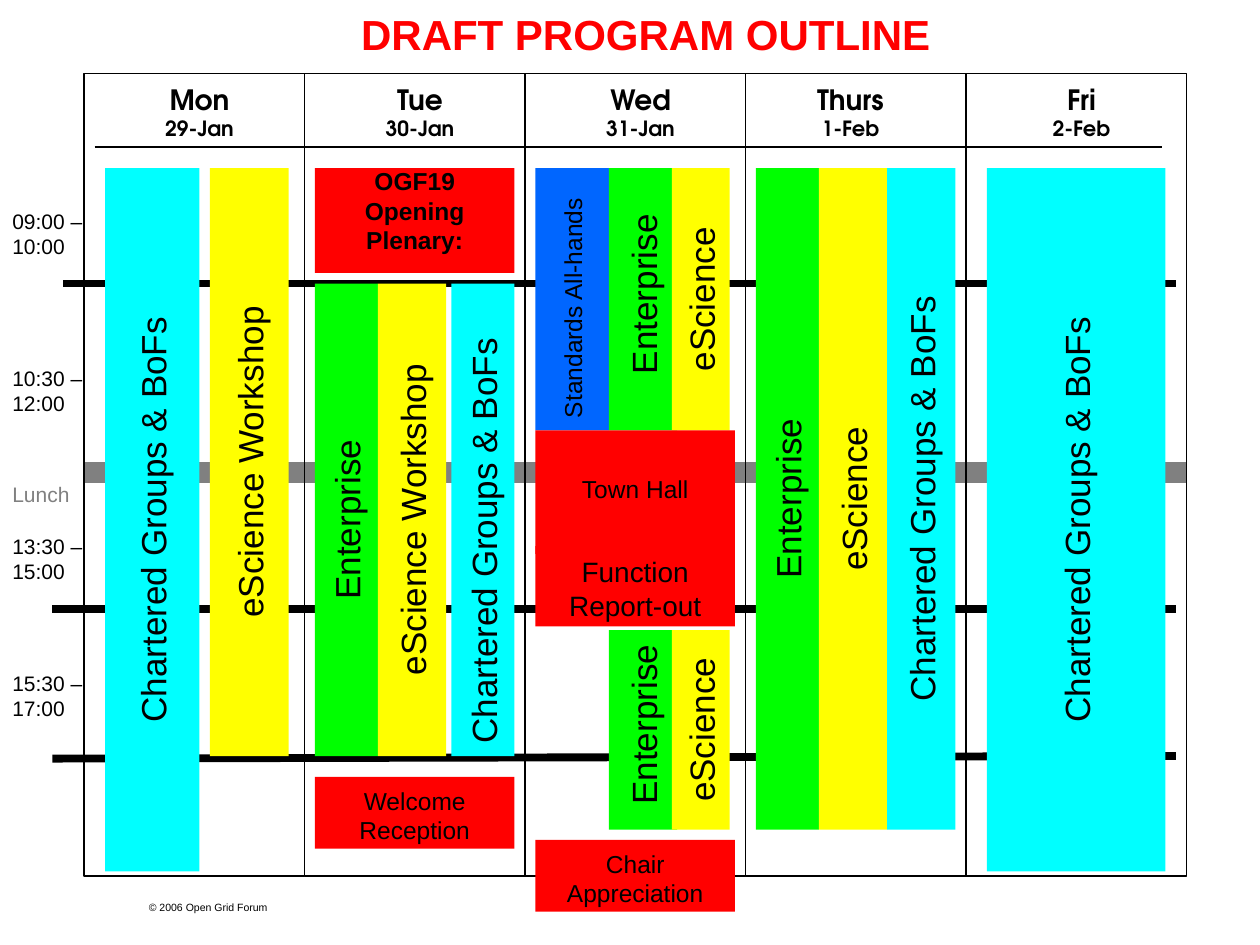
from lxml import etree
from pptx import Presentation
from pptx.dml.color import RGBColor
from pptx.enum import shapes, text as t
from pptx.oxml import ns
from pptx.util import Pt

BLACK = RGBColor(0x00, 0x00, 0x00)
GRAY = RGBColor(0x80, 0x80, 0x80)
RED = RGBColor(0xFF, 0x00, 0x00)
GREEN = RGBColor(0x00, 0xFF, 0x00)
YELLOW = RGBColor(0xFF, 0xFF, 0x00)
CYAN = RGBColor(0x00, 0xFF, 0xFF)
BLUE = RGBColor(0x00, 0x66, 0xFF)
CENTER, LEFT = t.PP_ALIGN.CENTER, t.PP_ALIGN.LEFT

deck = Presentation()
deck.slide_width, deck.slide_height = Pt(720), Pt(540)
slide = deck.slides.add_slide(deck.slide_layouts[6])


def write(box, *lines, sizes=(14,), font="Arial", color=BLACK, bold=False,
          align=CENTER, inset_top=5, inset_left=7.2, wrap=True,
          anchor=t.MSO_ANCHOR.TOP):
    """Fill a shape with one paragraph; lines are parted by line breaks."""
    frame = box.text_frame
    frame.word_wrap = wrap
    frame.vertical_anchor = anchor
    frame.margin_top, frame.margin_left = Pt(inset_top), Pt(inset_left)
    para = frame.paragraphs[0]
    para.alignment = align
    for number, (line, size) in enumerate(zip(lines, sizes)):
        if number:
            para.add_line_break()
        span = para.add_run()
        span.text = line
        span.font.name, span.font.size = font, Pt(size)
        span.font.bold, span.font.color.rgb = bold, color


def rule(x1, y1, x2, y2, width, color=BLACK):
    line = slide.shapes.add_connector(
        shapes.MSO_CONNECTOR.STRAIGHT, Pt(x1), Pt(y1), Pt(x2), Pt(y2))
    line.line.color.rgb, line.line.width = color, Pt(width)
    etree.SubElement(line._element.spPr, ns.qn("a:effectLst"))


# Break, lunch and closing lines
rule(36, 162, 672, 162, 4.5)
rule(30, 348, 672, 348, 4.5)
rule(30, 433.5, 672, 432, 4.5)
rule(48, 270, 678, 270, 12, GRAY)

# Day columns with their headings
days = [("Mon", "29-Jan", 60), ("Tue", "30-Jan", 186), ("Wed", "31-Jan", 312),
        ("Thurs", "1-Feb", 432), ("Fri", "2-Feb", 564)]
for index, (day, date, left) in enumerate(days):
    column = slide.shapes.add_shape(
        shapes.MSO_SHAPE.RECTANGLE, Pt(48 + 126 * index), Pt(42), Pt(126), Pt(458.6))
    column.shadow.inherit = False
    column.fill.background()
    column.line.color.rgb, column.line.width = BLACK, Pt(0.75)
    heading = slide.shapes.add_textbox(Pt(left), Pt(42), Pt(108), Pt(41))
    write(heading, day, date, sizes=(16, 12), font="TeX Gyre Adventor", bold=True)
rule(54, 84, 664, 84, 0.75)

# Time slots
slots = [("09:00 – 10:00", 114, BLACK), ("10:30 – 12:00", 204, BLACK),
         ("Lunch", 270, GRAY), ("13:30 – 15:00", 300, BLACK),
         ("15:30 – 17:00", 378, BLACK)]
for label, top, color in slots:
    slot = slide.shapes.add_textbox(Pt(0), Pt(top), Pt(66), Pt(36))
    write(slot, label, sizes=(12,), color=color, align=LEFT)

# Tracks: vertical bars, given by the area they cover after turning
GROUPS, WORKSHOP = "Chartered Groups & BoFs", "eScience Workshop"
tracks = [
    (GROUPS, CYAN, 60, 96, 54, 402, {}),
    (WORKSHOP, YELLOW, 120, 96, 45, 336, {}),
    ("Enterprise", GREEN, 180, 162, 36, 270, {}),
    (WORKSHOP, YELLOW, 216, 162, 39, 270, {}),
    (GROUPS, CYAN, 258, 162, 36, 270, {"align": LEFT}),
    ("Standards All-hands", BLUE, 306, 96, 42, 150, {"align": LEFT, "sizes": (14,)}),
    ("Enterprise", GREEN, 348, 96, 39, 150, {"inset_left": 12.8}),
    ("eScience", YELLOW, 384, 96, 33, 150, {}),
    ("Enterprise", GREEN, 348, 360, 39, 114, {"inset_left": 12.8}),
    ("eScience", YELLOW, 384, 360, 33, 114, {}),
    ("Enterprise", GREEN, 432, 96, 36, 378, {}),
    ("eScience", YELLOW, 468, 96, 39, 378, {}),
    (GROUPS, CYAN, 507, 96, 39, 378, {}),
    (GROUPS, CYAN, 564, 96, 102, 402, {}),
]
for label, color, left, top, width, height, style in tracks:
    shift = (height - width) / 2
    bar = slide.shapes.add_shape(
        shapes.MSO_SHAPE.RECTANGLE, Pt(left - shift), Pt(top + shift), Pt(height), Pt(width))
    bar.rotation = 270
    bar.shadow.inherit = False
    bar.fill.solid()
    bar.fill.fore_color.rgb = color
    bar.line.fill.background()
    write(bar, label, **{"sizes": (20,), "inset_top": 3.6, "wrap": False,
                         "anchor": t.MSO_ANCHOR.MIDDLE, **style})

# Plenary events
events = [
    ("", 180, 96, 60, {}),
    ("Welcome Reception", 180, 444, 41, {}),
    ("Town Hall", 306, 246, 70.5, {"inset_top": 25}),
    ("Function Report-out", 306, 312, 46, {"sizes": (16,)}),
    ("Chair Appreciation", 306, 480, 41, {}),
]
for label, left, top, height, style in events:
    event = slide.shapes.add_shape(
        shapes.MSO_SHAPE.RECTANGLE, Pt(left), Pt(top), Pt(114), Pt(height))
    event.shadow.inherit = False
    event.fill.solid()
    event.fill.fore_color.rgb = RED
    event.line.fill.background()
    if label:
        write(event, label, **style)
opening = slide.shapes.add_textbox(Pt(186), Pt(90), Pt(102), Pt(58))
write(opening, "OGF19 Opening Plenary:", bold=True)

# Title and footer
title = slide.shapes.add_textbox(Pt(114), Pt(0), Pt(510), Pt(36))
write(title, "DRAFT PROGRAM OUTLINE", sizes=(24,), color=RED, bold=True)
footer = slide.shapes.add_textbox(Pt(78), Pt(510), Pt(108), Pt(14))
write(footer, "© 2006 Open Grid Forum", sizes=(6,), align=LEFT)

deck.save("out.pptx")
